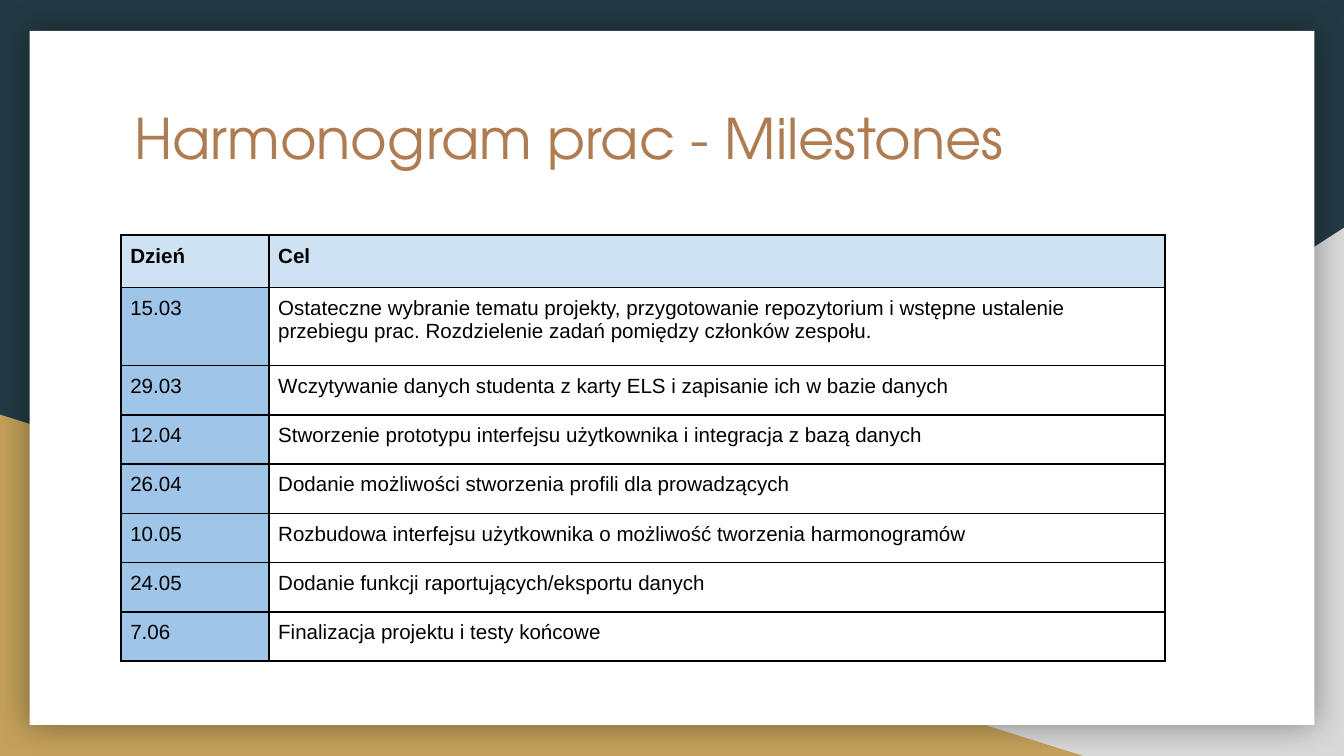
from lxml.etree import SubElement
from pptx import Presentation
from pptx.dml.color import RGBColor
from pptx.enum.shapes import MSO_SHAPE
from pptx.enum.text import MSO_ANCHOR, MSO_AUTO_SIZE, PP_ALIGN
from pptx.oxml.ns import qn
from pptx.util import Inches, Pt

WIDTH = 10
HEIGHT = WIDTH * 9 / 16
PLAN = [
    ("Dzień", "Cel"),
    ("15.03", "Ostateczne wybranie tematu projekty, przygotowanie repozytorium i wstępne "
              "ustalenie przebiegu prac. Rozdzielenie zadań pomiędzy członków zespołu."),
    ("29.03", "Wczytywanie danych studenta z karty ELS i zapisanie ich w bazie danych"),
    ("12.04", "Stworzenie prototypu interfejsu użytkownika i integracja z bazą danych"),
    ("26.04", "Dodanie możliwości stworzenia profili dla prowadzących"),
    ("10.05", "Rozbudowa interfejsu użytkownika o możliwość tworzenia harmonogramów"),
    ("24.05", "Dodanie funkcji raportujących/eksportu danych"),
    ("7.06", "Finalizacja projektu i testy końcowe"),
]


def paint(fill, color):
    fill.solid()
    fill.fore_color.rgb = RGBColor.from_string(color)


def style(par, size, font, color, bold=False):
    par.font.size, par.font.name, par.font.bold = Pt(size), font, bold
    par.font.color.rgb = RGBColor.from_string(color)


def add_block(slide, kind, box, color):
    block = slide.shapes.add_shape(kind, *map(Inches, box))
    block.shadow.inherit = False
    paint(block.fill, color)
    block.line.fill.background()
    return block


def add_glow(shape, color, alpha, blur):
    """Even soft shadow on all sides."""
    effects = shape.element.spPr.find(qn("a:effectLst"))
    glow = SubElement(effects, qn("a:outerShdw"), blurRad=str(Pt(blur)),
                      dist="0", dir="0", algn="ctr", rotWithShape="0")
    tint = SubElement(glow, qn("a:srgbClr"), val=color)
    SubElement(tint, qn("a:alpha"), val=str(alpha * 1000))


def add_back(slide, left, top, width, height):
    """Two corner triangles under a white card."""
    paint(slide.background.fill, "233A44")
    right, bottom = left + width, top + height
    wide, high = 6.08, 3.93
    gray = add_block(slide, MSO_SHAPE.RIGHT_TRIANGLE,
                     (right - wide, bottom - high, wide, high), "D9D9D9")
    gray.element.spPr.find(qn("a:xfrm")).set("flipH", "1")
    wide, high = 8.06, 2.54
    add_block(slide, MSO_SHAPE.RIGHT_TRIANGLE, (left, bottom - high, wide, high), "C4A15A")
    side, edge = 0.22, 0.23
    card = add_block(slide, MSO_SHAPE.RECTANGLE,
                     (left + side, top + edge, width - 2 * side, height - 2 * edge), "FFFFFF")
    add_glow(card, "000000", 40, 18)


def add_title(slide, text, left, top, width, height):
    title = slide.shapes.title
    title.left, title.top = Inches(left), Inches(top)
    title.width, title.height = Inches(width), Inches(height)
    # Bring the title in front of the card
    title.element.getparent().append(title.element)
    frame = title.text_frame
    frame.text = text
    frame.word_wrap = True
    frame.auto_size = MSO_AUTO_SIZE.NONE
    frame.vertical_anchor = MSO_ANCHOR.TOP
    frame.margin_left = frame.margin_right = Inches(0.1)
    frame.margin_top = frame.margin_bottom = Inches(0.1)
    par = frame.paragraphs[0]
    par.alignment = PP_ALIGN.LEFT
    style(par, 30, "TeX Gyre Adventor", "AF7B51")


def add_edges(cell, color, size):
    props = cell._tc.get_or_add_tcPr()
    for side in ("lnL", "lnR", "lnT", "lnB"):
        line = SubElement(props, qn("a:" + side), w=str(Pt(size)))
        fill = SubElement(line, qn("a:solidFill"))
        SubElement(fill, qn("a:srgbClr"), val=color)


def add_plan(slide, data, left, top, width, height):
    """Milestone table: header row, tinted date column."""
    dates, head, tall = 1.1, 0.39, 0.58
    row = (height - head - tall) / (len(data) - 2)
    frame = slide.shapes.add_table(len(data), 2, *map(Inches, (left, top, width, height)))
    table = frame.table
    for col, size in zip(table.columns, (dates, width - dates)):
        col.width = Inches(size)
    for i, words in enumerate(data):
        table.rows[i].height = Inches({0: head, 1: tall}.get(i, row))
        for j, text in enumerate(words):
            cell = table.cell(i, j)
            cell.text = text
            cell.margin_left = cell.margin_right = Inches(0.07)
            cell.margin_top = cell.margin_bottom = Inches(0.07)
            style(cell.text_frame.paragraphs[0], 11, "Arial", "000000", i == 0)
            add_edges(cell, "000000", 1)
            if i == 0:
                paint(cell.fill, "CFE2F3")
            elif j == 0:
                paint(cell.fill, "9FC5E8")
            else:
                cell.fill.background()


def main():
    deck = Presentation()
    deck.slide_width, deck.slide_height = Inches(WIDTH), Inches(HEIGHT)
    slide = deck.slides.add_slide(deck.slide_layouts[5])
    add_back(slide, 0, 0, WIDTH, HEIGHT)
    add_title(slide, "Harmonogram prac - Milestones", 0.9, 0.67, 8.21, 1.04)
    add_plan(slide, PLAN, 0.9, 1.75, 7.77, 3.17)
    deck.save("out.pptx")


if __name__ == "__main__":
    main()
